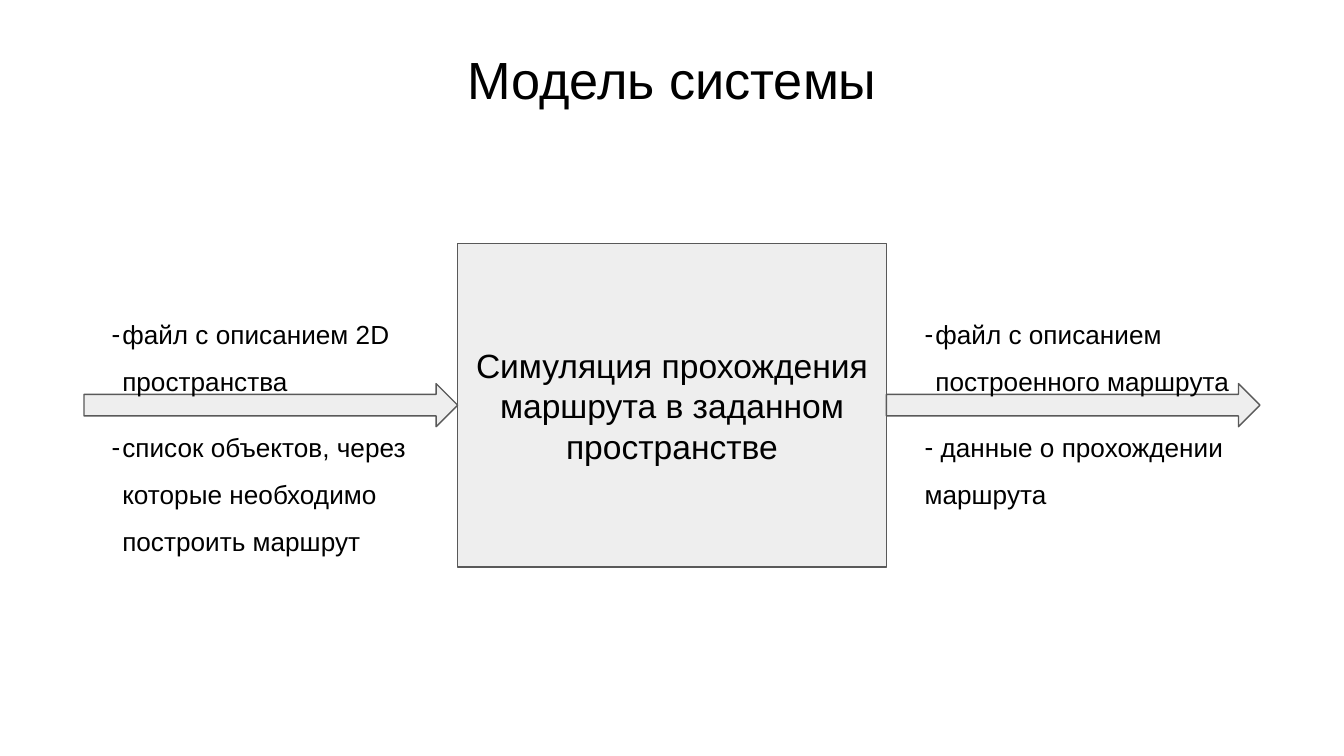
from lxml import etree
from pptx import Presentation
from pptx.dml.color import RGBColor
from pptx.enum.shapes import MSO_SHAPE
from pptx.enum.text import MSO_ANCHOR, MSO_AUTO_SIZE, PP_ALIGN
from pptx.oxml.ns import qn
from pptx.util import Inches, Pt

RECTANGLE, ARROW = MSO_SHAPE.RECTANGLE, MSO_SHAPE.RIGHT_ARROW
TOP, MIDDLE = MSO_ANCHOR.TOP, MSO_ANCHOR.MIDDLE
CENTER, LEFT = PP_ALIGN.CENTER, PP_ALIGN.LEFT
NO_FIT = MSO_AUTO_SIZE.NONE
TWO_CONTENT = 3
BLACK, GRAY, PALE = "000000", "595959", "EEEEEE"

deck = Presentation()
deck.slide_width = Inches(10)
deck.slide_height = deck.slide_width * 9 // 16
COLUMN, ROW = deck.slide_width / 100, deck.slide_height / 100
page = deck.slides.add_slide(deck.slide_layouts[TWO_CONTENT])
title, inputs, outputs = page.placeholders


def color(target, value):
    target.rgb = RGBColor.from_string(value)


def write(box, texts, size, align, anchor):
    frame = box.text_frame
    margins = dict.fromkeys(("margin_left", "margin_top", "margin_right", "margin_bottom"), Inches(0.1))
    for name, value in {**margins, "word_wrap": True, "auto_size": NO_FIT, "vertical_anchor": anchor}.items():
        setattr(frame, name, value)
    frame.text = "\n".join(texts)
    for para in frame.paragraphs:
        para.alignment = align
        for span in para.runs:
            span.font.name, span.font.size = "Arial", Pt(size)
            color(span.font.color, BLACK)


shapes = [
    (RECTANGLE, 34.05, 32.2, 31.9, 42.8),
    (ARROW, 6.25, 50.75, 27.8, 5.7),
    (ARROW, 65.95, 50.75, 27.8, 5.7),
]
drawn = []
for kind, x, y, width, height in shapes:
    shape = page.shapes.add_shape(kind, int(x * COLUMN), int(y * ROW), int(width * COLUMN), int(height * ROW))
    shape.shadow.inherit = False
    shape.fill.solid()
    color(shape.fill.fore_color, PALE)
    color(shape.line.color, GRAY)
    shape.line.width = Pt(0.75)
    drawn.append(shape)
write(drawn[0], ["Симуляция прохождения маршрута в заданном пространстве"], 18, CENTER, MIDDLE)

places = [
    (title, 3.4, 4.45, 93.2, 11.2),
    (inputs, 7.3, 38.3, 26.8, 41.6),
    (outputs, 67.8, 38.3, 26.8, 30.6),
]
for box, x, y, width, height in places:
    box.left, box.top = int(x * COLUMN), int(y * ROW)
    box.width, box.height = int(width * COLUMN), int(height * ROW)
    box.element.getparent().append(box.element)
write(title, ["Модель системы"], 28, CENTER, TOP)

HANGING, FLUSH = (0.08, -0.18), (0, -0.1)
lists = [
    (inputs, [("файл с описанием 2D пространства", HANGING),
              ("список объектов, через которые необходимо построить маршрут", HANGING)]),
    (outputs, [("файл с описанием построенного маршрута", HANGING),
               (" данные о прохождении маршрута", FLUSH)]),
]
for box, items in lists:
    write(box, [text for text, indents in items], 14, LEFT, TOP)
    for index, (para, (text, (margin, indent))) in enumerate(zip(box.text_frame.paragraphs, items)):
        gap = Pt(10 * index)
        for name, value in {"line_spacing": 1.5, "space_before": gap, "space_after": gap}.items():
            setattr(para, name, value)
        properties = para._p.get_or_add_pPr()
        properties.set("marL", str(Inches(margin)))
        properties.set("indent", str(Inches(indent)))
        bullet_color = etree.SubElement(properties, qn("a:buClr"))
        etree.SubElement(bullet_color, qn("a:srgbClr"), val=BLACK)
        etree.SubElement(properties, qn("a:buFont"), typeface="Arial")
        etree.SubElement(properties, qn("a:buChar"), char="-")

deck.save("out.pptx")
